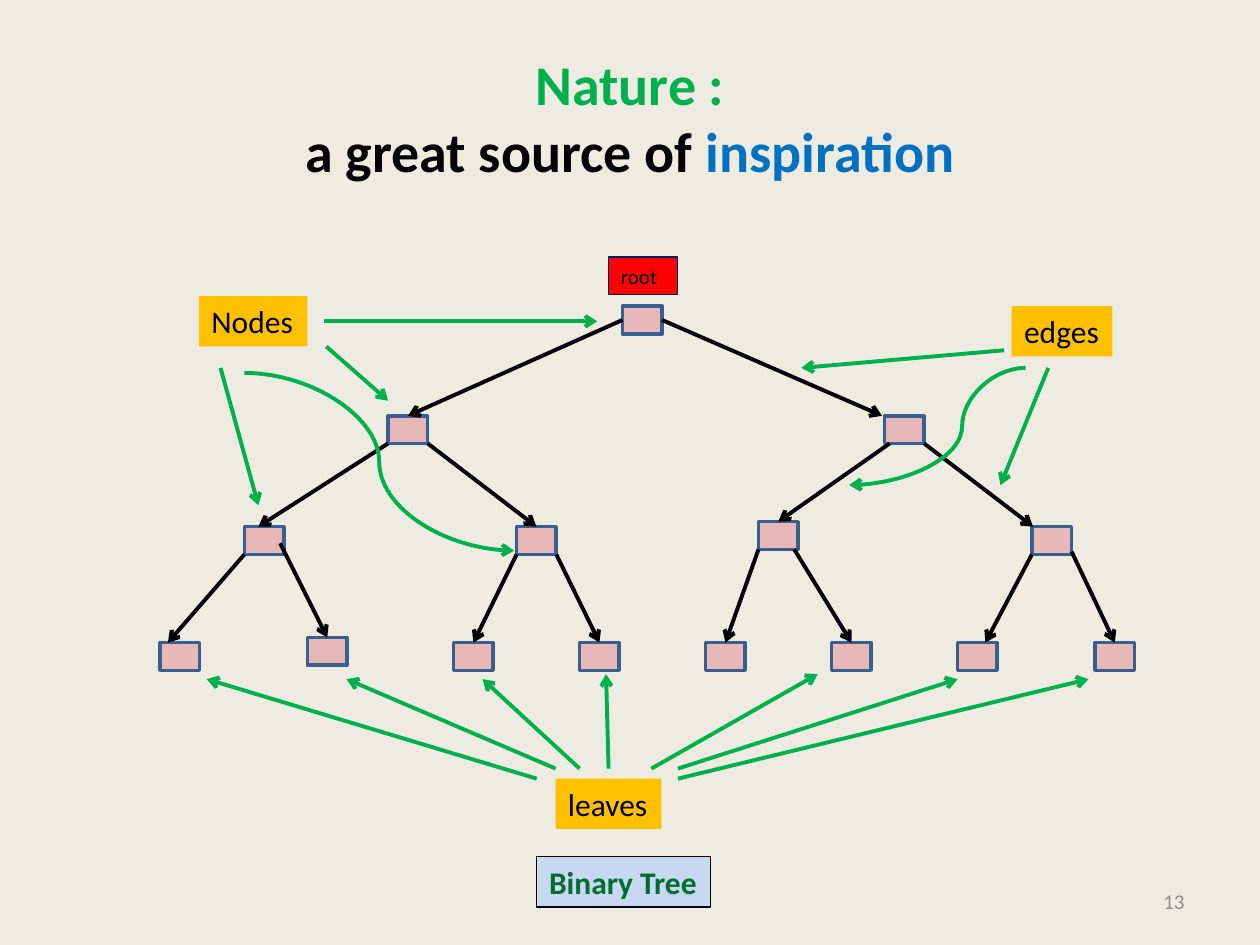
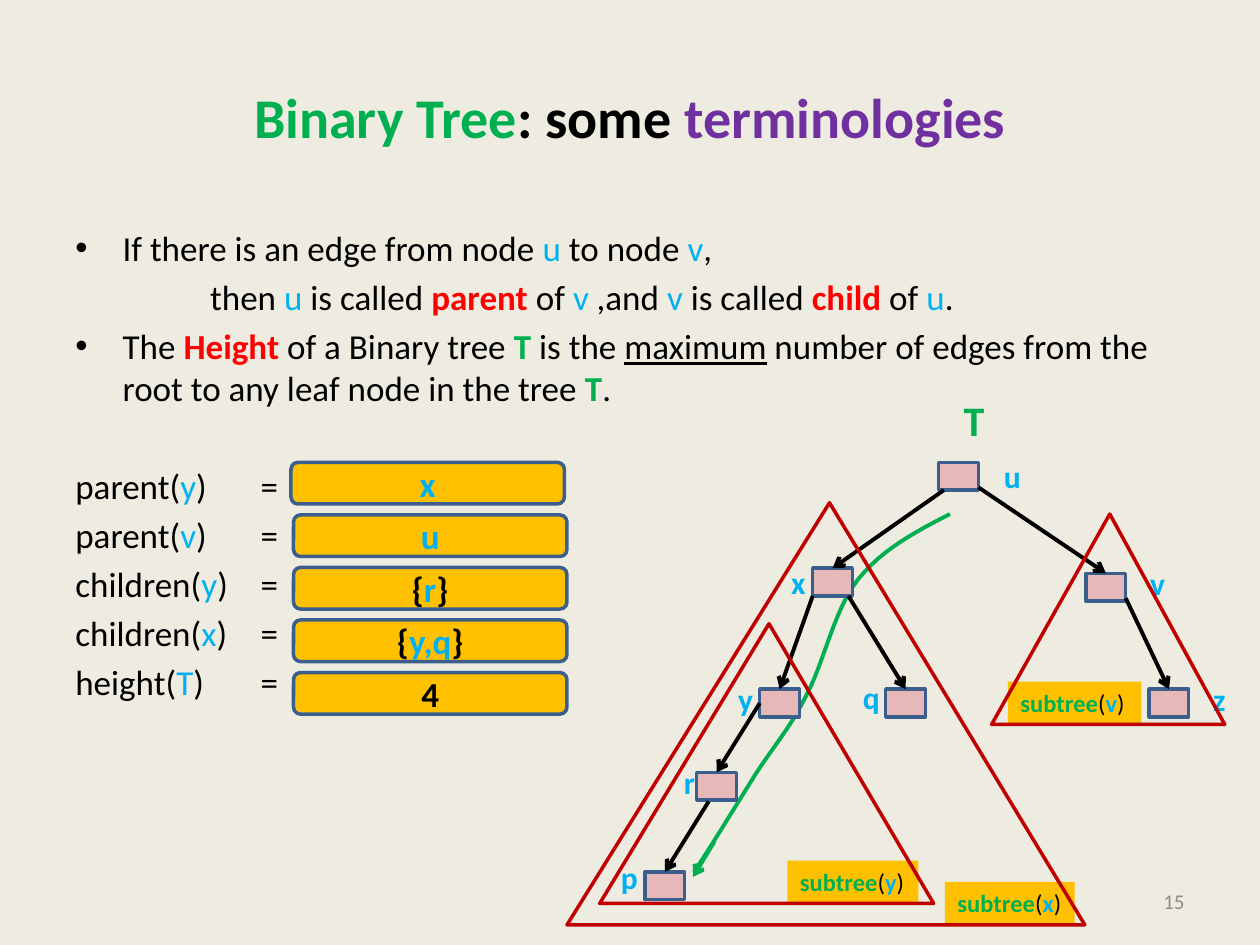
from dataclasses import dataclass
from typing import NamedTuple, Optional

from lxml.etree import SubElement
from pptx import Presentation
from pptx.dml.color import RGBColor
from pptx.enum.shapes import MSO_CONNECTOR as Link, MSO_SHAPE as Form
from pptx.enum.text import MSO_ANCHOR as Anchor, PP_ALIGN as Align
from pptx.oxml.ns import qn
from pptx.util import Emu, Inches, Pt

WIDE, HIGH = Inches(10), Inches(7.5)
COLS = 100  # square grid: 100 columns by 75 rows

BLACK = RGBColor(0x00, 0x00, 0x00)
CREAM = RGBColor(0xEE, 0xEC, 0xE1)
GREEN = RGBColor(0x00, 0xB0, 0x50)
PINE = RGBColor(0x00, 0x6C, 0x31)
BLUE = RGBColor(0x00, 0x70, 0xC0)
SKY = RGBColor(0x00, 0xB0, 0xF0)
PALE = RGBColor(0xC6, 0xD9, 0xF1)
STEEL = RGBColor(0x3A, 0x5F, 0x8C)
NAVY = RGBColor(0x00, 0x20, 0x60)
PINK = RGBColor(0xE6, 0xB9, 0xB8)
GOLD = RGBColor(0xFF, 0xC0, 0x00)
RED = RGBColor(0xFF, 0x00, 0x00)
BRICK = RGBColor(0xC0, 0x00, 0x00)
PLUM = RGBColor(0x70, 0x30, 0xA0)
GREY = RGBColor(0x8C, 0x8C, 0x8C)

NODE_W, NODE_H = 3.15, 2.2
LABEL_H = 4


class Bit(NamedTuple):
    """A run of text."""
    text: str
    color: RGBColor = BLACK
    bold: bool = False
    under: bool = False


class Edge(NamedTuple):
    """Tree edge; fx, fy and tx are shares of the node's size."""
    start: str
    end: str
    fx: float
    fy: float = 1
    tx: float = 0.5


class Arrow(NamedTuple):
    x1: float
    y1: float
    x2: float
    y2: float
    bend: Optional[float] = None


class Line(NamedTuple):
    """A line of the body text, with lengths in grid columns."""
    bits: list
    left: float = 0
    mark: bool = False
    tab: float = 0
    gap: float = 4


@dataclass
class Box:
    at: tuple
    bits: list
    size: int = 18
    fill: Optional[RGBColor] = None
    edge: Optional[RGBColor] = None
    thick: float = 0.75
    form: Form = Form.RECTANGLE
    align: Align = Align.LEFT
    anchor: Anchor = Anchor.TOP
    wrap: bool = False


def grid(*cells: float) -> list:
    return [Emu(round(cell * WIDE / COLS)) for cell in cells]


def put(item, **values) -> None:
    for name, value in values.items():
        setattr(item, name, value)


def write(para, bits: list, size: int) -> None:
    for bit in bits:
        run = para.add_run()
        run.text = bit.text
        put(run.font, name="Calibri", size=Pt(size), bold=bit.bold,
            underline=bit.under)
        run.font.color.rgb = bit.color


def paint(shape, fill, edge, thick: float) -> None:
    shape.shadow.inherit = False
    for part, color in ((shape.fill, fill), (shape.line.fill, edge)):
        if color is None:
            part.background()
        else:
            part.solid()
            part.fore_color.rgb = color
    if edge is not None:
        shape.line.width = Pt(thick)


def draw_box(slide, box: Box) -> None:
    if box.fill is None:
        shape = slide.shapes.add_textbox(*grid(*box.at))
    else:
        shape = slide.shapes.add_shape(box.form, *grid(*box.at))
        paint(shape, box.fill, box.edge, box.thick)
    frame = shape.text_frame
    put(frame, word_wrap=box.wrap, vertical_anchor=box.anchor)
    para = frame.paragraphs[0]
    para.alignment = box.align
    write(para, box.bits, box.size)


def draw_arrow(slide, arrow: Arrow, color: RGBColor) -> None:
    kind = Link.STRAIGHT if arrow.bend is None else Link.CURVE
    link = slide.shapes.add_connector(kind, *grid(*arrow[:4]))
    link.line.color.rgb = color
    link.line.width = Pt(2.25)
    props = link._element.spPr
    SubElement(props.find(qn("a:ln")), qn("a:tailEnd"), type="arrow")
    SubElement(props, qn("a:effectLst"))
    if arrow.bend is not None:
        SubElement(props.find(".//" + qn("a:avLst")), qn("a:gd"), name="adj1",
                   fmla=f"val {round(arrow.bend * 100000)}")


def draw_tree(slide, nodes: dict, edges: list) -> None:
    for x, y in nodes.values():
        node = slide.shapes.add_shape(Form.RECTANGLE,
                                      *grid(x, y, NODE_W, NODE_H))
        paint(node, PINK, STEEL, 2)
    for edge in edges:
        (x1, y1), (x2, y2) = nodes[edge.start], nodes[edge.end]
        draw_arrow(slide, Arrow(x1 + edge.fx * NODE_W, y1 + edge.fy * NODE_H,
                                x2 + edge.tx * NODE_W, y2), BLACK)


def draw_curve(slide, points: list, color: RGBColor, steps: int = 12) -> None:
    """Draw joined cubic curves; each takes three points after the start."""
    path = []
    for i in range(0, len(points) - 1, 3):
        knots = points[i:i + 4]
        for step in range(1, steps + 1):
            t = step / steps
            parts = ((1 - t) ** 3, 3 * t * (1 - t) ** 2,
                     3 * t ** 2 * (1 - t), t ** 3)
            path.append(grid(*(sum(p * k[axis] for p, k in zip(parts, knots))
                               for axis in (0, 1))))
    pen = slide.shapes.build_freeform(*grid(*points[0]))
    pen.add_line_segments(path, close=False)
    paint(pen.convert_to_shape(), None, color, 2.25)


def draw_body(slide, lines: list) -> None:
    frame = slide.shapes.add_textbox(*grid(5, 17.5, 90, 49.5)).text_frame
    frame.word_wrap = True
    for i, line in enumerate(lines):
        para = frame.add_paragraph() if i else frame.paragraphs[0]
        props = para._p.get_or_add_pPr()
        left, tab = grid(line.left, line.tab)
        props.set("marL", str(left))
        if line.mark:
            props.set("indent", str(-left))
            SubElement(props, qn("a:buFont"), typeface="Arial")
            SubElement(props, qn("a:buChar"), char="•")
        if line.tab:
            tabs = SubElement(props, qn("a:tabLst"))
            SubElement(tabs, qn("a:tab"), pos=str(tab), algn="l")
        para.space_before = Pt(line.gap if i else 0)
        write(para, line.bits, 20)


def draw_subtree(slide, name: str, label: tuple, tri: tuple) -> None:
    bits = [Bit("subtree", GREEN, True), Bit("("), Bit(name, SKY, True), Bit(")")]
    draw_box(slide, Box((*label, 3.4), bits, 14, GOLD, wrap=name == "v"))
    shape = slide.shapes.add_shape(Form.ISOSCELES_TRIANGLE, *grid(*tri))
    shape.adjustments[0] = 0.507
    paint(shape, None, BRICK, 2)


def add_slide(deck, title: list, number: int):
    slide = deck.slides.add_slide(deck.slide_layouts[5])
    head = slide.shapes.title
    spot = dict(zip(("left", "top", "width", "height"), grid(5, 3, 90, 12.5)))
    put(head, **spot)
    frame = head.text_frame
    frame.vertical_anchor = Anchor.MIDDLE
    for i, bits in enumerate(title):
        para = frame.add_paragraph() if i else frame.paragraphs[0]
        para.alignment = Align.CENTER
        write(para, bits, 32)
    draw_box(slide, Box((71.7, 69.5, 23.3, 4), [Bit(str(number), GREY)], 12,
                        align=Align.RIGHT, anchor=Anchor.MIDDLE, wrap=True))
    return slide


def nature(deck) -> None:
    slide = add_slide(deck, [
        [Bit("Nature :", GREEN, True)],
        [Bit("a great source of ", bold=True), Bit("inspiration", BLUE, True)],
    ], 13)
    nodes = {"root": (49.4, 24.3), "a": (30.8, 33), "b": (70.2, 33),
             "c": (19.4, 41.8), "d": (41, 41.8),
             "e": (60.2, 41.4), "f": (81.9, 41.8),
             "c1": (12.7, 51), "c2": (24.4, 50.6), "d1": (36, 51),
             "d2": (46, 51), "e1": (56, 51), "e2": (66, 51),
             "f1": (76, 51), "f2": (86.9, 51)}
    draw_tree(slide, nodes, [
        Edge("root", "a", 0, 0.5), Edge("root", "b", 1, 0.5, -0.06),
        Edge("a", "c", 0, tx=0.35), Edge("a", "d", 1),
        Edge("b", "e", 0.13), Edge("b", "f", 1, tx=0.03),
        Edge("c", "c1", 0, tx=0.2), Edge("c", "c2", 0.9, 0.6),
        Edge("d", "d1", 0), Edge("d", "d2", 1),
        Edge("e", "e1", 0), Edge("e", "e2", 0.9),
        Edge("f", "f1", 0, tx=0.7), Edge("f", "f2", 1, 0.9),
    ])
    draw_box(slide, Box((48.3, 20.4, 5.5, 3), [Bit("root")], 12, RED, NAVY,
                        wrap=True))
    for text, x, y, width in (("leaves", 44.1, 61.8, 8.4),
                              ("edges", 80.3, 24.3, 8),
                              ("Nodes", 15.8, 23.5, 8.6)):
        draw_box(slide, Box((x, y, width, LABEL_H), [Bit(text)], fill=GOLD))
    hints = [
        # leaves
        Arrow(42.6, 61.8, 16.4, 53.9), Arrow(44.1, 61, 27.5, 53.9),
        Arrow(46, 61, 38.3, 53.9), Arrow(48.3, 61, 48.1, 53.5),
        Arrow(51.7, 61, 64.9, 53.5), Arrow(53.8, 61, 76, 53.9),
        Arrow(53.8, 61.8, 86.4, 53.9),
        # edges
        Arrow(79.7, 27.8, 63.6, 29.2), Arrow(83.2, 29.2, 79.4, 38.5),
        Arrow(81.4, 29.2, 67.4, 38.5, 0.36),
        # nodes
        Arrow(25.7, 25.5, 47.4, 25.5), Arrow(19.4, 29.6, 40.8, 43.7, 0.5),
        Arrow(25.9, 27.5, 30.8, 31.8), Arrow(17.5, 29.2, 20.5, 40.1),
    ]
    for hint in hints:
        draw_arrow(slide, hint, GREEN)
    draw_box(slide, Box((42.6, 68, 13.8, LABEL_H),
                        [Bit("Binary Tree", PINE, True)], fill=PALE, edge=BLACK))


def terms(deck) -> None:
    slide = add_slide(deck, [[Bit("Binary Tree", GREEN, True),
                              Bit(": some ", bold=True),
                              Bit("terminologies", PLUM, True)]], 15)
    u, v, tree = Bit("u", SKY), Bit("v", SKY), Bit("T", GREEN, True)
    asks = [("parent", "y"), ("parent", "v"), ("children", "y"),
            ("children", "x"), ("height", "T")]
    draw_body(slide, [
        Line([Bit("If there is an edge from node "), u, Bit(" to node "), v,
              Bit(",")], 3.75, True),
        Line([Bit("then "), u, Bit(" is called "), Bit("parent", RED, True),
              Bit(" of "), v, Bit(" ,and "), v, Bit(" is called "),
              Bit("child", RED, True), Bit(" of "), u, Bit(".")], 10.7),
        Line([Bit("The "), Bit("Height", RED, True), Bit(" of a Binary tree "),
              tree, Bit(" is the "), Bit("maximum", under=True),
              Bit(" number of edges from the root to any leaf node in the tree "),
              tree, Bit(".")], 3.75, True),
        *(Line([Bit(name + "("), Bit(node, SKY), Bit(")\t=")], tab=14.7,
               gap=4 if i else 32) for i, (name, node) in enumerate(asks)),
    ])
    draw_curve(slide, [(75.4, 40.8), (72.7, 42.2), (70, 43.6), (68.1, 46),
                       (66.2, 48.4), (65.4, 52.6), (64, 55.2),
                       (62.7, 57.8), (61.5, 59.1), (60, 61.4),
                       (58.5, 63.8), (56.8, 66.6), (55.1, 69.2)], GREEN)
    draw_arrow(slide, Arrow(56.7, 66.8, 55, 69.6), GREEN)
    nodes = {"u": (74.5, 36.7), "x": (64.5, 45.1), "v": (86.2, 45.5),
             "y": (60.3, 54.7), "q": (70.3, 54.7), "z": (91.2, 54.7),
             "r": (55.3, 61.3), "p": (51.2, 69.2)}
    draw_tree(slide, nodes, [
        Edge("u", "x", 0.13), Edge("u", "v", 1, 0.9), Edge("x", "y", 0),
        Edge("x", "q", 0.9), Edge("v", "z", 1, 0.9), Edge("y", "r", 0, 0.5),
        Edge("r", "p", 0.3, 1.05),
    ])
    names = {"u": (78.7, 35.8), "v": (90.3, 44.3), "z": (95.3, 53.5),
             "x": (61.8, 44.2), "y": (57.6, 53.5), "q": (67.5, 53.3),
             "r": (53.3, 60.1), "p": (48.3, 67.6)}
    for name, spot in names.items():
        draw_box(slide, Box((*spot, 3.3, LABEL_H), [Bit(name, SKY, True)],
                            wrap=True))
    draw_box(slide, Box((75.5, 30.8, 3.7, 5), [tree], 24, wrap=True))

    left, right = Bit("{", bold=True), Bit("}", bold=True)
    replies = [[Bit("x", SKY, True)], [Bit("u", SKY, True)],
               [left, Bit("r", SKY, True), right],
               [left, Bit("y,q", SKY, True), right], [Bit("4", bold=True)]]
    for i, bits in enumerate(replies):
        draw_box(slide, Box((23.3 if i else 23.1, 36.7 + 4.17 * i, 21.7, 3.3),
                            bits, 20, GOLD, STEEL, 2, Form.ROUNDED_RECTANGLE,
                            Align.CENTER, Anchor.MIDDLE, True))
    draw_subtree(slide, "x", (75, 70, 10.3), (45, 39.9, 41.1, 33.5))
    draw_subtree(slide, "y", (62.5, 68.3, 10.4), (47.6, 49.5, 26.5, 22.2))
    draw_subtree(slide, "v", (80, 54.1, 10.6), (78.7, 40.8, 18.5, 16.7))


def main() -> None:
    deck = Presentation()
    put(deck, slide_width=WIDE, slide_height=HIGH)
    back = deck.slide_master.background.fill
    back.solid()
    back.fore_color.rgb = CREAM
    nature(deck)
    terms(deck)
    deck.save("out.pptx")


if __name__ == "__main__":
    main()
